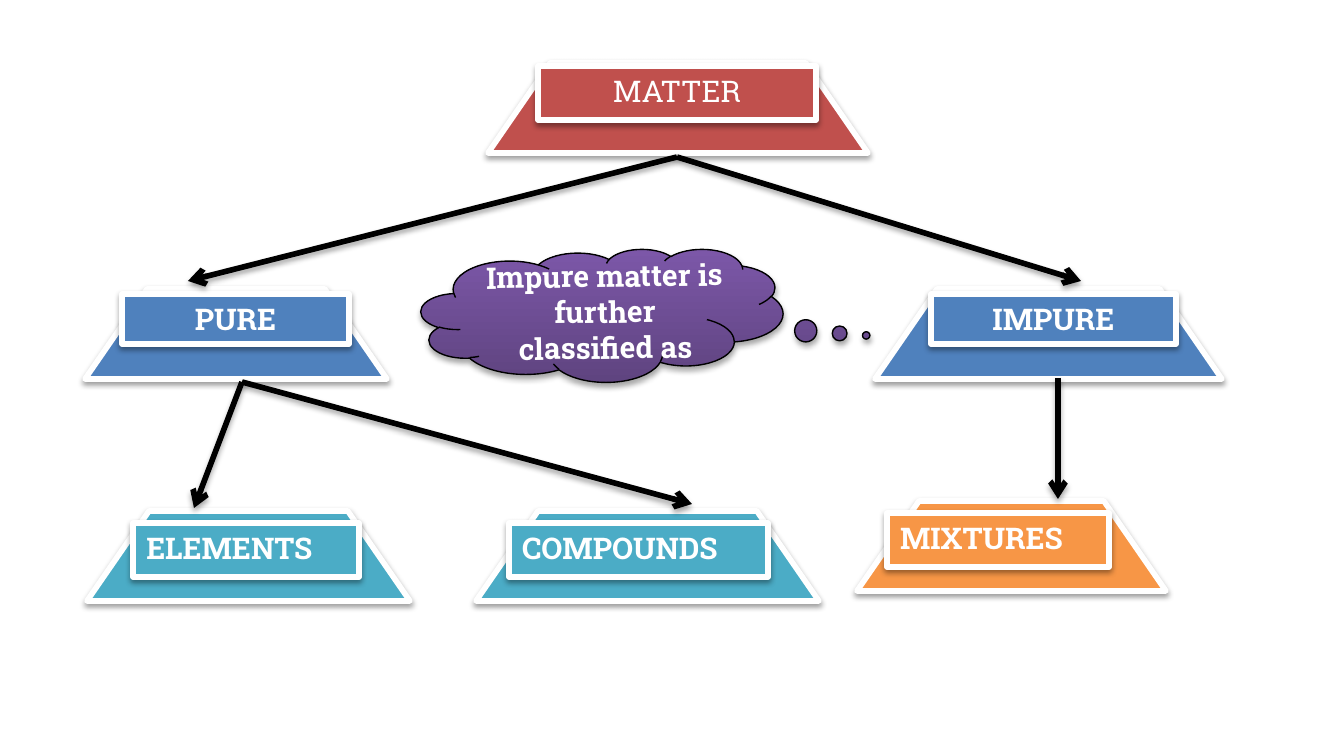
"""Build a slide with a tree that classifies matter."""
from lxml.etree import SubElement
from pptx import Presentation
from pptx.dml.color import RGBColor
from pptx.enum.shapes import MSO_CONNECTOR, MSO_SHAPE
from pptx.enum.text import MSO_ANCHOR, PP_ALIGN
from pptx.oxml import parse_xml
from pptx.oxml.ns import nsdecls, qn
from pptx.util import Pt

PX = 914400 / 134.4
THEME = {
    "font": "Roboto Slab", "size": Pt(16), "edge": Pt(3), "thin": Pt(0.75),
    "white": RGBColor.from_string("FFFFFF"), "black": RGBColor.from_string("000000"),
    "red": RGBColor.from_string("C0504D"), "blue": RGBColor.from_string("4F81BD"),
    "teal": RGBColor.from_string("4BACC6"), "orange": RGBColor.from_string("F79646"),
    "dark": RGBColor.from_string("5F4480"), "light": RGBColor.from_string("7C57A8"),
}


def shade(item, alpha, dist):
    item._element.spPr.append(parse_xml(
        f'<a:effectLst {nsdecls("a")}><a:outerShdw blurRad="{Pt(3.1)}" dist="{Pt(dist)}" '
        f'dir="5400000" rotWithShape="0"><a:srgbClr val="{THEME["black"]}">'
        f'<a:alpha val="{alpha * 1000}"/></a:srgbClr></a:outerShdw></a:effectLst>'))


def write(shape, lines, align, bold):
    frame = shape.text_frame
    frame.word_wrap = True
    frame.vertical_anchor = MSO_ANCHOR.TOP
    frame.text = "\n".join(lines)
    for para in frame.paragraphs:
        para.alignment = align
        para.font.name = THEME["font"]
        para.font.size = THEME["size"]
        para.font.bold = bold
        para.font.color.rgb = THEME["white"]


deck = Presentation()
deck.slide_width, deck.slide_height = round(1344 * PX), round(756 * PX)
slide = deck.slides.add_slide(deck.slide_layouts[6])
shapes = slide.shapes

left, center = PP_ALIGN.LEFT, PP_ALIGN.CENTER
nodes = [
    ("ELEMENTS", "teal", left, True, (87, 511, 323, 90), (133, 523, 226, 54)),
    ("COMPOUNDS", "teal", left, True, (476, 511, 343, 90), (509, 523, 259, 54)),
    ("MATTER", "red", center, False, (488, 63, 380, 90), (538, 66, 278, 54)),
    ("PURE", "blue", center, True, (85, 289, 302, 90), (122, 294, 227, 50)),
    ("IMPURE", "blue", center, True, (875, 289, 347, 90), (931, 294, 245, 50)),
    ("MIXTURES", "orange", left, True, (857, 501, 309, 90), (887, 513, 222, 54)),
]
for label, color, align, bold, base, plate in nodes:
    for kind, box in ((MSO_SHAPE.TRAPEZOID, base), (MSO_SHAPE.RECTANGLE, plate)):
        shape = shapes.add_shape(kind, *(round(v * PX) for v in box))
        shape.fill.solid()
        shape.fill.fore_color.rgb = THEME[color]
        shape.line.color.rgb = THEME["white"]
        shape.line.width = THEME["edge"]
        shade(shape, 38, 1.6)
        if kind == MSO_SHAPE.TRAPEZOID:
            shape.adjustments[0] = 0.69
        else:
            write(shape, [label], align, bold)

arrows = [
    (677, 157, 188, 281), (677, 157, 1081, 281),
    (242, 382, 194, 508), (242, 382, 692, 504), (1058, 378, 1058, 499),
]
for ends in arrows:
    arrow = shapes.add_connector(MSO_CONNECTOR.STRAIGHT, *(round(v * PX) for v in ends))
    arrow.line.color.rgb = THEME["black"]
    arrow.line.width = THEME["edge"]
    SubElement(arrow._element.spPr.find(qn("a:ln")), qn("a:tailEnd"), type="arrow")
    shade(arrow, 35, 1.8)

cloud = shapes.add_shape(MSO_SHAPE.CLOUD_CALLOUT, *(round(v * PX) for v in (421, 249, 362, 133)))
cloud.adjustments[0], cloud.adjustments[1] = 0.73, 0.15
cloud.fill.gradient()
cloud.fill.gradient_angle = 90
for stop, color in zip(cloud.fill.gradient_stops, ("dark", "light")):
    stop.color.rgb = THEME[color]
for stop, place in zip(cloud.fill.gradient_stops, (0, 1)):
    stop.position = place
cloud.line.color.rgb = THEME["black"]
cloud.line.width = THEME["thin"]
shade(cloud, 35, 1.8)

note = shapes.add_textbox(*(round(v * PX) for v in (456, 251, 298, 136)))
note.rotation = -0.8
write(note, ["Impure matter is further", "classified as"], center, True)

deck.save("out.pptx")
